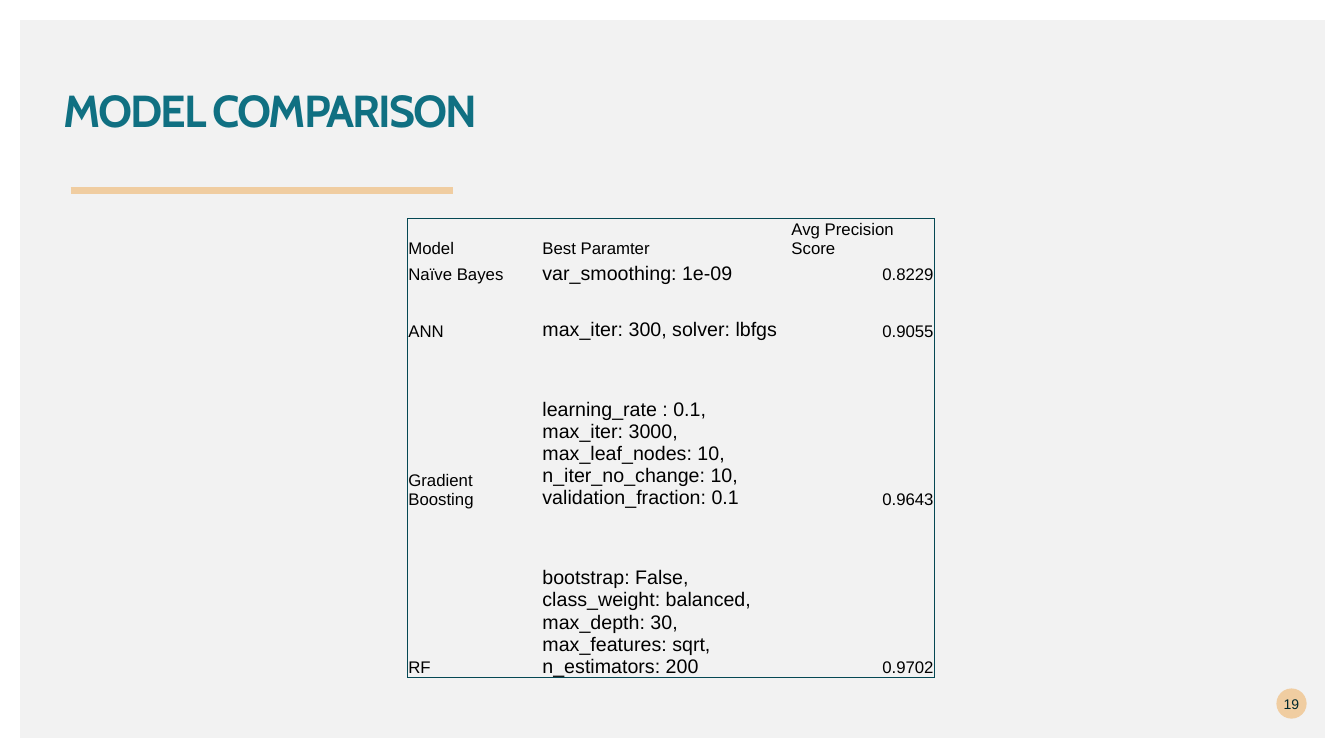
from pptx import Presentation
from pptx import util as u
from pptx.dml.color import RGBColor
from pptx.enum import shapes, text
from pptx.oxml.xmlchemy import OxmlElement

MODELS = [
    ("Model", "Best Paramter", "Avg Precision Score"),
    ("Naïve Bayes", "var_smoothing: 1e-09", "0.8229"),
    ("ANN", "max_iter: 300, solver: lbfgs", "0.9055"),
    ("Gradient Boosting", "learning_rate : 0.1, max_iter: 3000, max_leaf_nodes: 10, "
     "n_iter_no_change: 10, validation_fraction: 0.1", "0.9643"),
    ("RF", "bootstrap: False, class_weight: balanced, max_depth: 30, "
     "max_features: sqrt, n_estimators: 200", "0.9702"),
]
COLUMN_WIDTHS = [1.33, 2.47, 1.43]
ROW_HEIGHTS = [0.39, 0.26, 0.56, 1.67, 1.67]


def colour(value):
    return RGBColor.from_string(value)


def inches(*values):
    return [u.Inches(value) for value in values]


class SlideBuilder:
    teal, sand, grey = "107082", "F0CDA1", "F2F2F2"
    ink, border, black = "00292E", "054854", "000000"
    body_font, title_font = "Arial", "Cabin"

    def __init__(self, presentation):
        self.slide = presentation.slides.add_slide(presentation.slide_layouts[5])

    def style(self, paragraph, font_name, size, hex_colour, align, bold=False):
        paragraph.alignment = align
        font = paragraph.font
        font.name, font.size, font.bold = font_name, u.Pt(size), bold
        font.color.rgb = colour(hex_colour)

    def title(self, words, left, top, width, height):
        title = self.slide.shapes.title
        title.left, title.top, title.width, title.height = inches(left, top, width, height)
        frame = title.text_frame
        frame.text = words
        frame.margin_left = frame.margin_right = frame.margin_top = frame.margin_bottom = 0
        frame.vertical_anchor = text.MSO_ANCHOR.TOP
        frame.auto_size = text.MSO_AUTO_SIZE.NONE
        paragraph = frame.paragraphs[0]
        paragraph.line_spacing = 0.9
        self.style(paragraph, self.title_font, 32, self.teal, text.PP_ALIGN.LEFT, True)
        # Letter spacing in hundredths of a point
        paragraph.runs[0]._r.get_or_add_rPr().set("spc", "-150")

    def shape(self, kind, left, top, width, height, fill):
        shape = self.slide.shapes.add_shape(kind, *inches(left, top, width, height))
        shape.shadow.inherit = False
        shape.fill.solid()
        shape.fill.fore_color.rgb = colour(fill)
        shape.line.fill.background()
        return shape

    def panel(self, left, top, width, height):
        panel = self.shape(shapes.MSO_SHAPE.RECTANGLE, left, top, width, height, self.grey)
        self.slide.shapes.title._element.addprevious(panel._element)

    def badge(self, words, left, top, size):
        badge = self.shape(shapes.MSO_SHAPE.OVAL, left, top, size, size, self.sand)
        frame = badge.text_frame
        frame.text = words
        frame.word_wrap = False
        frame.margin_left = frame.margin_right = frame.margin_top = frame.margin_bottom = 0
        frame.vertical_anchor = text.MSO_ANCHOR.MIDDLE
        self.style(frame.paragraphs[0], self.body_font, 10, self.ink, text.PP_ALIGN.CENTER)

    def rule(self, left, right, y, width):
        rule = self.slide.shapes.add_connector(
            shapes.MSO_CONNECTOR.STRAIGHT, *inches(left, y, right, y))
        rule.line.color.rgb = colour(self.sand)
        rule.line.width = u.Pt(width)
        rule._element.spPr.append(OxmlElement("a:effectLst"))

    def cell_borders(self, cell, visible):
        properties = cell._tc.get_or_add_tcPr()
        for index, side in enumerate("LRTB"):
            line = OxmlElement(f"a:ln{side}")
            if side in visible:
                line.set("w", str(u.Pt(0.5)))
                fill = OxmlElement("a:solidFill")
                value = OxmlElement("a:srgbClr")
                value.set("val", self.border)
                fill.append(value)
            else:
                fill = OxmlElement("a:noFill")
            line.append(fill)
            properties.insert(index, line)

    def table(self, left, top, widths, heights, rows):
        table = self.slide.shapes.add_table(
            len(rows), len(widths),
            *inches(left, top, sum(widths), sum(heights))).table
        table.first_row = table.horz_banding = False
        for column, width in zip(table.columns, widths):
            column.width = u.Inches(width)
        for row, height in zip(table.rows, heights):
            row.height = u.Inches(height)
        last_row, last_column = len(rows) - 1, len(widths) - 1
        for i, values in enumerate(rows):
            for j, value in enumerate(values):
                cell = table.cell(i, j)
                cell.text = value
                cell.margin_left = cell.margin_right = cell.margin_top = u.Inches(0.01)
                cell.margin_bottom = 0
                cell.vertical_anchor = text.MSO_ANCHOR.BOTTOM
                cell.fill.background()
                # Only the outside edge of the table is drawn
                edges = {"L": j == 0, "R": j == last_column, "T": i == 0, "B": i == last_row}
                self.cell_borders(cell, [side for side, outer in edges.items() if outer])
                is_score = i > 0 and j == last_column
                self.style(cell.text_frame.paragraphs[0], self.body_font,
                           14 if i > 0 and j == 1 else 12, self.black,
                           text.PP_ALIGN.RIGHT if is_score else text.PP_ALIGN.LEFT)


def main():
    presentation = Presentation()
    presentation.slide_width, presentation.slide_height = inches(13.33, 7.5)
    builder = SlideBuilder(presentation)

    # Background, title and underline
    builder.panel(0.2, 0.2, 12.94, 7.12)
    builder.title("MODEL COMPARISON", 0.63, 0.88, 8.38, 0.86)
    builder.badge("19", 12.66, 6.83, 0.3)
    builder.rule(0.7, 4.49, 1.89, 4.32)

    # Model scores
    builder.table(4.04, 2.17, COLUMN_WIDTHS, ROW_HEIGHTS, MODELS)
    presentation.save("out.pptx")


if __name__ == "__main__":
    main()
